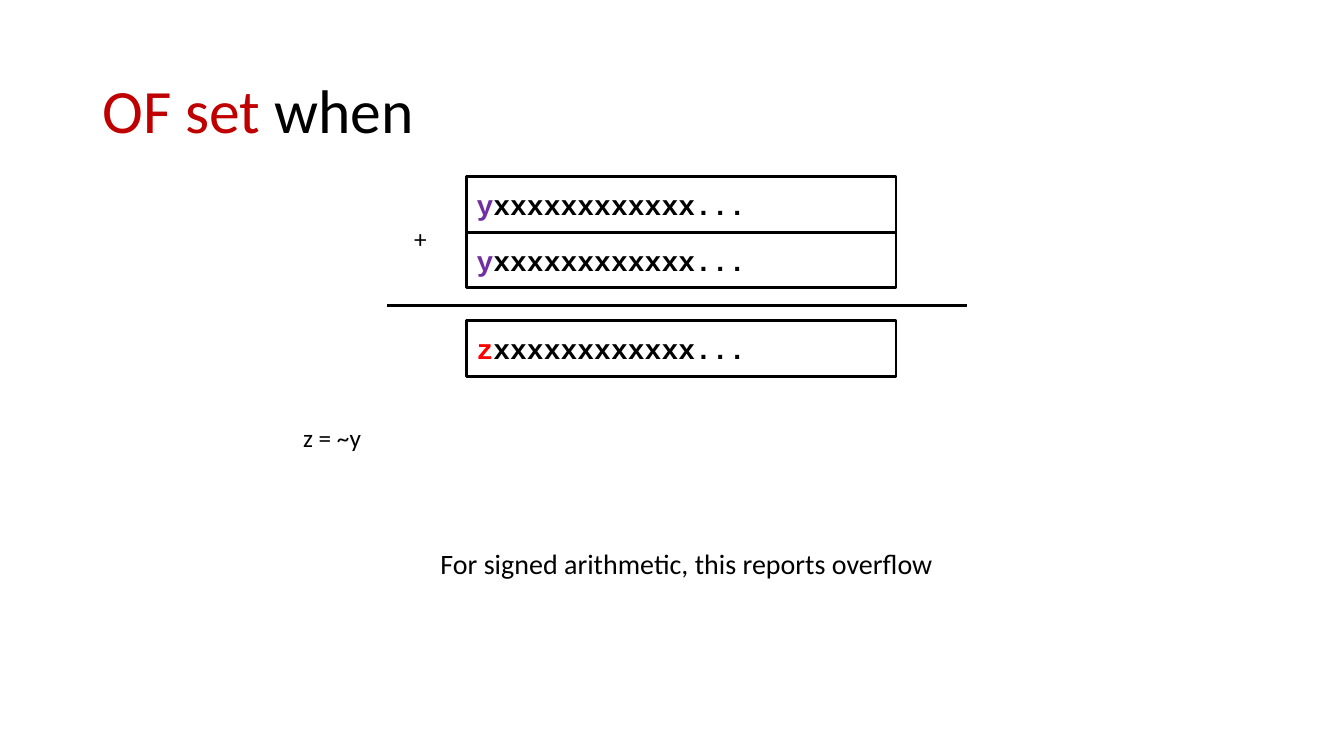
from lxml import etree
from pptx import Presentation
from pptx.dml.color import RGBColor
from pptx.enum.shapes import MSO_CONNECTOR, MSO_SHAPE
from pptx.enum.text import MSO_ANCHOR, MSO_AUTO_SIZE, PP_ALIGN
from pptx.oxml.ns import qn
from pptx.util import Cm, Pt

RECT = MSO_SHAPE.RECTANGLE
LINE = MSO_CONNECTOR.STRAIGHT
MIDDLE = MSO_ANCHOR.MIDDLE
GROW = MSO_AUTO_SIZE.SHAPE_TO_FIT_TEXT
LEFT = PP_ALIGN.LEFT

COLORS = {
    "black": "000000",
    "title": "C00000",
    "sign": "7030A0",
    "flip": "FF0000",
}


class Board:
    """Holds the style and the current slide."""

    sans = "Calibri"
    mono = "Courier New"
    stroke = Pt(2)

    def __init__(self, deck):
        self.slide = deck.slides.add_slide(deck.slide_layouts[5])

    def color(self, name):
        return RGBColor.from_string(COLORS[name])

    def fill_text(self, frame, runs, size, font, bold=False):
        para = frame.paragraphs[0]
        para.alignment = LEFT
        para.font.name = font
        para.font.size = Pt(size)
        para.font.bold = bold
        for text, name in runs:
            run = para.add_run()
            run.text = text
            run.font.color.rgb = self.color(name)
        return para

    def title(self, runs, x, y, w, h):
        shape = self.slide.shapes.title
        shape.left, shape.top, shape.width, shape.height = map(Cm, (x, y, w, h))
        shape.text_frame.vertical_anchor = MIDDLE
        para = self.fill_text(shape.text_frame, runs, 44, self.sans)
        para.line_spacing = 0.9

    def box(self, runs, x, y, w, h):
        shape = self.slide.shapes.add_shape(RECT, *map(Cm, (x, y, w, h)))
        shape.shadow.inherit = False
        shape.fill.background()
        shape.line.color.rgb = self.color("black")
        shape.line.width = self.stroke
        shape.text_frame.vertical_anchor = MIDDLE
        self.fill_text(shape.text_frame, runs, 20, self.mono, bold=True)

    def label(self, text, x, y, w, h, size=18, wrap=False):
        shape = self.slide.shapes.add_textbox(*map(Cm, (x, y, w, h)))
        shape.text_frame.word_wrap = wrap
        shape.text_frame.auto_size = GROW
        self.fill_text(shape.text_frame, [(text, "black")], size, self.sans)

    def rule(self, left, right, y):
        line = self.slide.shapes.add_connector(
            LINE, Cm(left), Cm(y), Cm(right), Cm(y))
        line.line.color.rgb = self.color("black")
        line.line.width = self.stroke
        etree.SubElement(line._element.spPr, qn("a:effectLst"))


def main():
    deck = Presentation()
    deck.slide_width, deck.slide_height = Cm(33.87), Cm(19.05)
    board = Board(deck)
    board.title([("OF set ", "title"), ("when", "black")], 2.33, 1.01, 29.21, 3.68)

    # Operands and sum
    rows = [("y", "sign", 4.45), ("y", "sign", 5.85), ("z", "flip", 8.08)]
    for bit, name, top in rows:
        runs = [(bit, name), ("xxxxxxxxxxxx...", "black")]
        board.box(runs, 11.76, top, 10.82, 1.4)
    board.rule(9.75, 24.38, 7.7)
    board.label("+", 10.19, 5.51, 1.27, 1.02, wrap=True)

    # Condition and meaning
    board.label("z = ~y", 7.39, 10.52, 1.98, 1.02)
    board.label("For signed arithmetic, this reports overflow",
                10.85, 13.64, 13.06, 1.12, size=20)
    deck.save("out.pptx")


if __name__ == "__main__":
    main()
